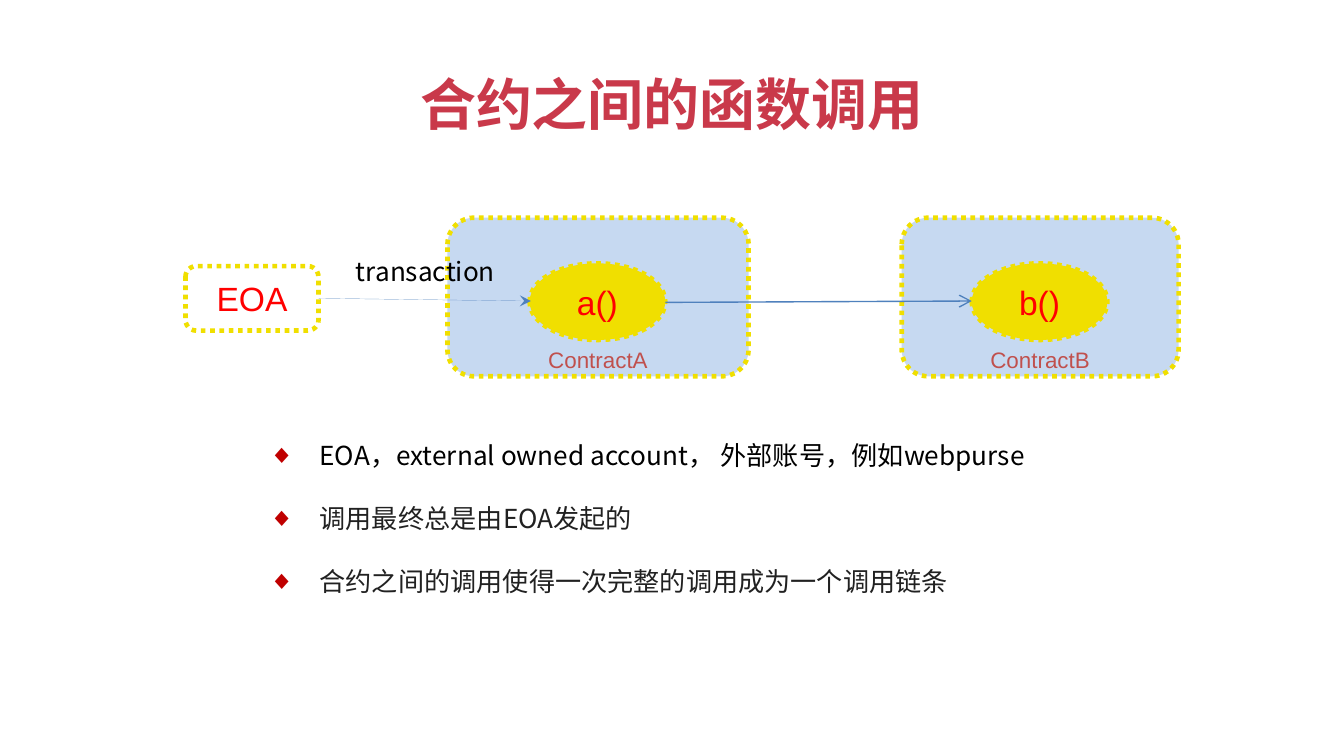
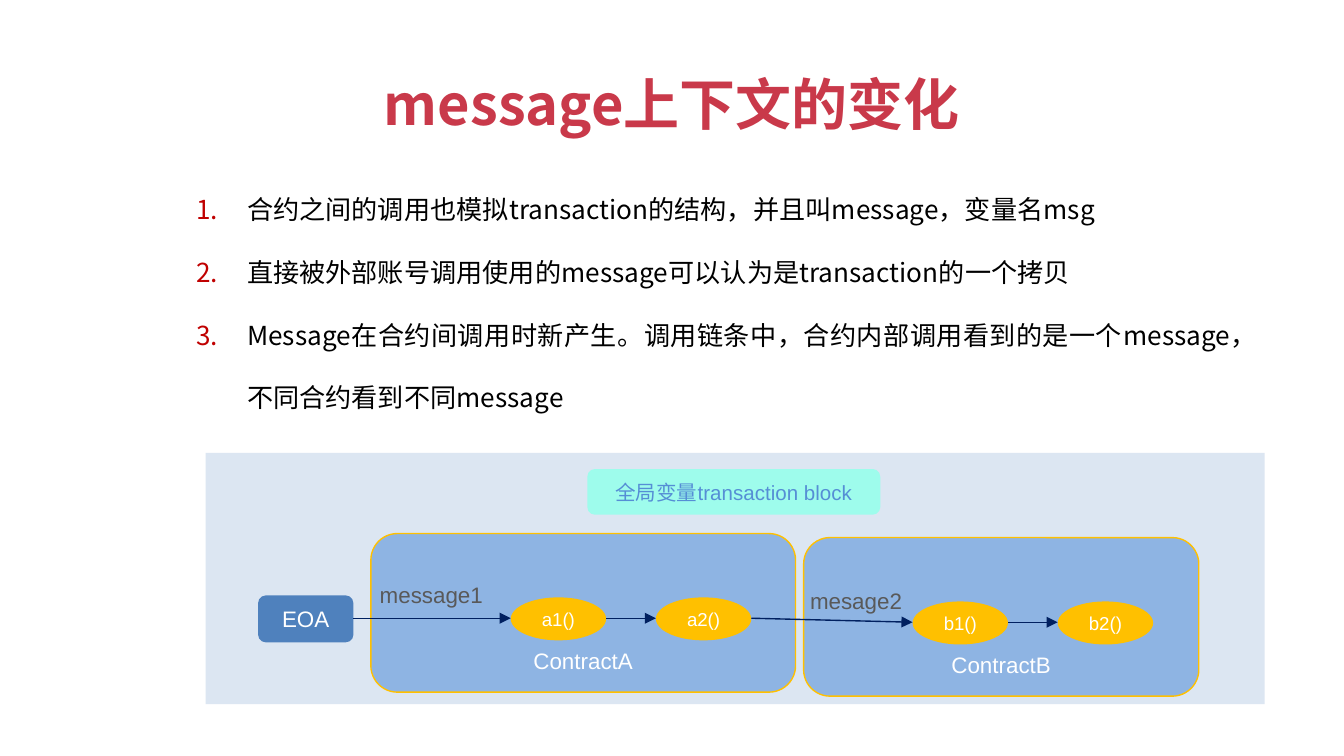
"""Two slides on calls between contracts and the message context."""
import pptx
import pptx.util
import pptx.dml.color
import pptx.enum.dml
import pptx.enum.shapes
import pptx.enum.text
import pptx.oxml.ns
import lxml.etree

Pt = pptx.util.Pt
RGBColor = pptx.dml.color.RGBColor
SHAPE = pptx.enum.shapes.MSO_SHAPE
ALIGN = pptx.enum.text.PP_ALIGN
ANCHOR = pptx.enum.text.MSO_ANCHOR
DOTS = pptx.enum.dml.MSO_LINE.ROUND_DOT
qn = pptx.oxml.ns.qn

TITLE_RED = RGBColor(0xC9, 0x39, 0x4A)
BULLET_RED = RGBColor(0xC0, 0x00, 0x00)
RED = RGBColor(0xFF, 0x00, 0x00)
BRICK = RGBColor(0xC0, 0x50, 0x4D)
BLACK = RGBColor(0x00, 0x00, 0x00)
INK = RGBColor(0x21, 0x21, 0x21)
GREY = RGBColor(0x59, 0x59, 0x59)
WHITE = RGBColor(0xFF, 0xFF, 0xFF)
YELLOW = RGBColor(0xF0, 0xDF, 0x00)
AMBER = RGBColor(0xFF, 0xC0, 0x00)
PALE_BLUE = RGBColor(0xC6, 0xD9, 0xF1)
PANEL = RGBColor(0xDC, 0xE6, 0xF2)
SKY = RGBColor(0x8E, 0xB4, 0xE3)
BLUE = RGBColor(0x4F, 0x81, 0xBD)
MID_BLUE = RGBColor(0x55, 0x8E, 0xD5)
NAVY = RGBColor(0x00, 0x20, 0x60)
MINT = RGBColor(0x9E, 0xFC, 0xEC)
CJK = "Noto Sans CJK SC"
LATIN = "Arial"

prs = pptx.Presentation()
prs.slide_width = pptx.util.Inches(10)
prs.slide_height = prs.slide_width * 9 // 16
UNIT = prs.slide_width // 100


def add_box(s, kind, col, row, cols, rows, text="", size=12, color=WHITE, font=LATIN,
            fill=None, line=None, width=0.75, dash=None, bold=False, wrap=False,
            align=ALIGN.CENTER, anchor=ANCHOR.MIDDLE, bottom=0.5):
    """Add a shape, or a text box when kind is None, placed on the grid."""
    place = [round(v * UNIT) for v in (col, row, cols, rows)]
    if kind is None:
        sp = s.shapes.add_textbox(*place)
    else:
        sp = s.shapes.add_shape(kind, *place)
        sp.shadow.inherit = False
        sp.fill.solid()
        sp.fill.fore_color.rgb = fill
        if line is None:
            sp.line.fill.background()
        else:
            sp.line.color.rgb = line
            sp.line.width = Pt(width)
            if dash:
                sp.line.dash_style = dash
    tf = sp.text_frame
    tf.word_wrap = wrap
    tf.vertical_anchor = anchor
    tf.margin_bottom = round(bottom * UNIT)
    tf.text = text
    for p in tf.paragraphs:
        p.alignment = align
        for r in p.runs:
            r.font.size = Pt(size)
            r.font.name = font
            r.font.bold = bold
            r.font.color.rgb = color
            lxml.etree.SubElement(r.font._element, qn("a:ea"), typeface=CJK)
    return sp


def add_arrow(s, col1, row1, col2, row2, color, head, width=0.75):
    """Add a straight arrow between two grid points."""
    ends = [round(v * UNIT) for v in (col1, row1, col2, row2)]
    c = s.shapes.add_connector(pptx.enum.shapes.MSO_CONNECTOR.STRAIGHT, *ends)
    c.line.color.rgb = color
    c.line.width = Pt(width)
    lxml.etree.SubElement(c.line._get_or_add_ln(), qn("a:tailEnd"), type=head)
    lxml.etree.SubElement(c._element.spPr, qn("a:effectLst"))


pages = [
    ("合约之间的函数调用", 39.9, (16.1, 34.6, 97, 5.6), "buChar", {"char": "◆"}, INK,
     ["EOA，external owned account， 外部账号，例如webpurse",
      "调用最终总是由EOA发起的",
      "合约之间的调用使得一次完整的调用成为一个调用链条"]),
    ("message上下文的变化", 46.7, (10.7, 18.6, 83.8, 5.6), "buAutoNum",
     {"type": "arabicPeriod"}, BLACK,
     ["合约之间的调用也模拟transaction的结构，并且叫message，变量名msg",
      "直接被外部账号调用使用的message可以认为是transaction的一个拷贝",
      "Message在合约间调用时新产生。调用链条中，合约内部调用看到的是一个message，不同合约看到不同message"]),
]
slides = []
for title, cols, place, marker, mark, later_color, points in pages:
    s = prs.slides.add_slide(prs.slide_layouts[6])
    slides.append(s)
    add_box(s, None, (100 - cols) / 2, 4.7, cols, 6.1, title, 30, TITLE_RED, CJK,
            bold=True, anchor=ANCHOR.TOP)
    sp = add_box(s, None, *place, "\n".join(points), 14, BLACK, CJK, wrap=True,
                 align=ALIGN.JUSTIFY)
    for i, p in enumerate(sp.text_frame.paragraphs):
        p.line_spacing = 2.0
        if i:
            p.runs[0].font.color.rgb = later_color
        pPr = p._p.get_or_add_pPr()
        pPr.set("marL", str(round(6.7 * UNIT)))
        pPr.set("indent", str(round(-3.8 * UNIT)))
        bu = lxml.etree.SubElement(pPr, qn("a:buClr"))
        lxml.etree.SubElement(bu, qn("a:srgbClr"), val=str(BULLET_RED))
        lxml.etree.SubElement(pPr, qn("a:buFont"), typeface=CJK if marker == "buAutoNum" else LATIN)
        lxml.etree.SubElement(pPr, qn("a:" + marker), **mark)

calls, context = slides

dotted = {"line": YELLOW, "width": 2.5, "dash": DOTS}
for name, col, cols in (("ContractA", 33.3, 22.4), ("ContractB", 67.1, 20.6)):
    add_box(calls, SHAPE.ROUNDED_RECTANGLE, col, 16.2, cols, 11.8, name, 12, BRICK,
            fill=PALE_BLUE, anchor=ANCHOR.BOTTOM, bottom=-0.3, **dotted)
for name, col in (("a()", 39.4), ("b()", 72.3)):
    add_box(calls, SHAPE.OVAL, col, 19.6, 10.1, 5.7, name, 18, RED, fill=YELLOW, **dotted)
add_arrow(calls, 23.7, 22.2, 39.5, 22.4, BLUE, "stealth", 0.01)
add_arrow(calls, 49.5, 22.5, 72.3, 22.4, BLUE, "arrow")
add_box(calls, None, 25.5, 18.5, 14.5, 6.1, "transaction", 14, BLACK, CJK, wrap=True,
        align=ALIGN.LEFT, anchor=ANCHOR.TOP)
add_box(calls, SHAPE.ROUNDED_RECTANGLE, 13.8, 19.8, 9.9, 4.8, "EOA", 18, RED,
        fill=WHITE, **dotted)

add_box(context, SHAPE.RECTANGLE, 15.3, 33.7, 78.8, 18.7, fill=PANEL)
contracts = [("ContractA", 27.6, 39.7, 31.6, "a", 38), ("ContractB", 59.8, 40, 29.4, "b", 67.9)]
for name, col, row, cols, letter, first in contracts:
    add_box(context, SHAPE.ROUNDED_RECTANGLE, col, row, cols, 11.8, name, fill=SKY,
            line=AMBER, anchor=ANCHOR.BOTTOM, bottom=0.8)
    for i in range(2):
        add_box(context, SHAPE.OVAL, first + 10.8 * i, row + 4.75, 7.1, 3.2,
                f"{letter}{i + 1}()", 10, fill=AMBER)
    add_arrow(context, first + 7.1, row + 6.3, first + 10.8, row + 6.3, NAVY, "triangle")
add_box(context, SHAPE.ROUNDED_RECTANGLE, 19.2, 44.3, 7.1, 3.5, "EOA", fill=BLUE)
add_arrow(context, 26.3, 46, 38, 46, NAVY, "triangle")
add_arrow(context, 55.9, 46, 67.9, 46.3, NAVY, "triangle")
add_box(context, SHAPE.ROUNDED_RECTANGLE, 43.7, 34.9, 21.8, 3.4,
        "全局变量transaction block", 11, MID_BLUE, fill=MINT)
for name, col, row in (("message1", 26.8, 42.5), ("mesage2", 58.4, 42.9)):
    add_box(context, None, col, row, 10.6, 3.5, name, 12, GREY)

prs.save("out.pptx")
